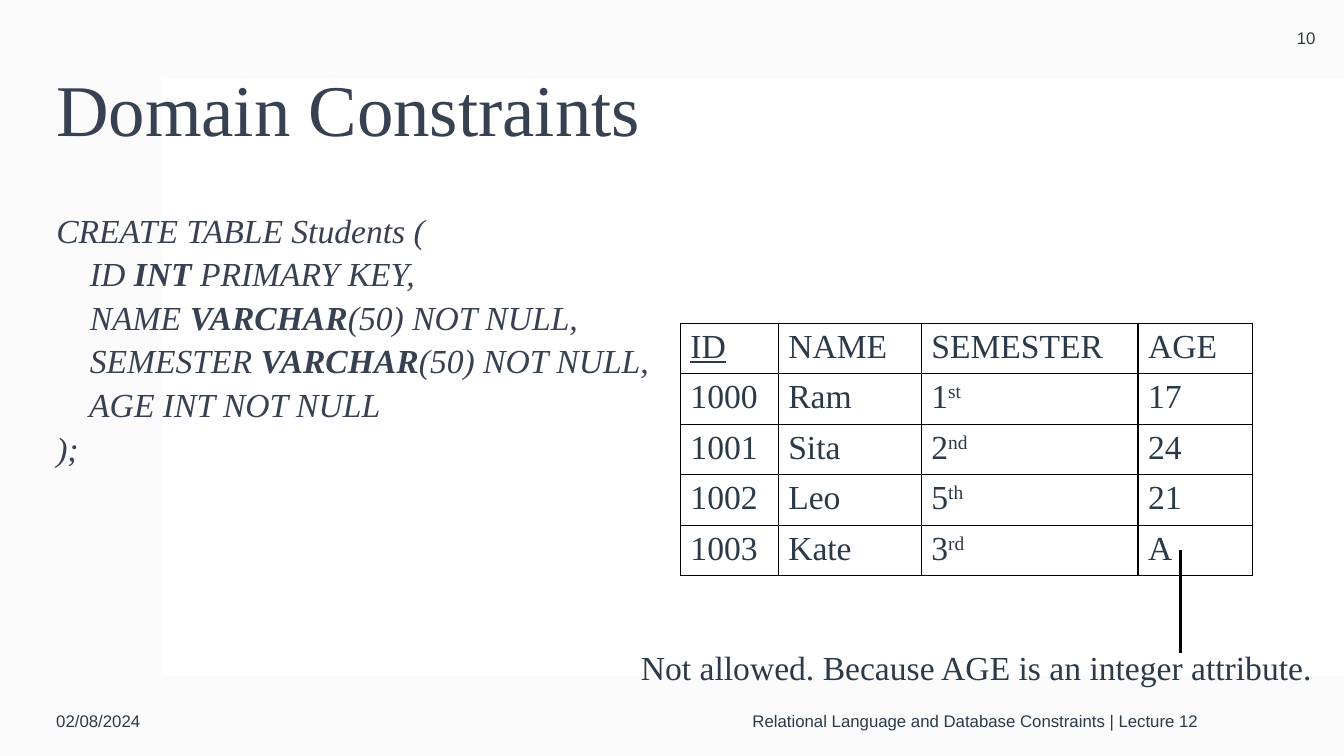
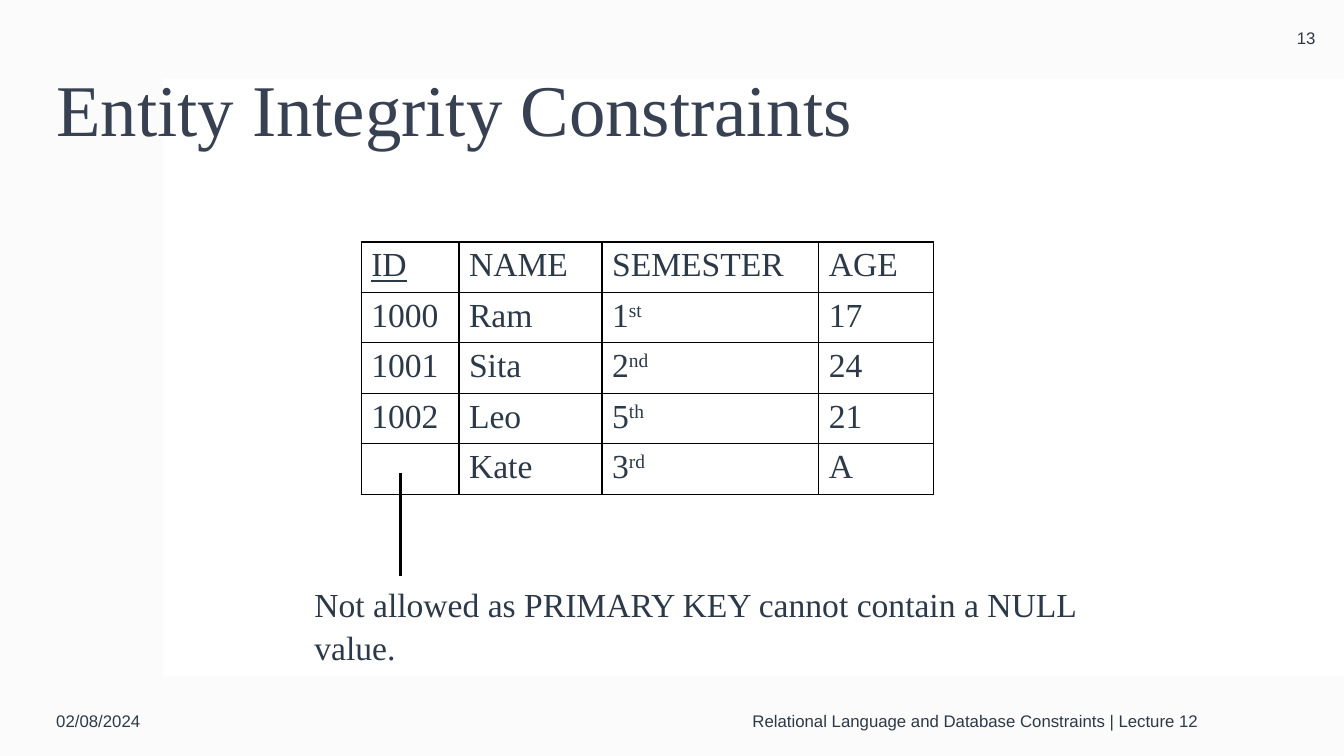
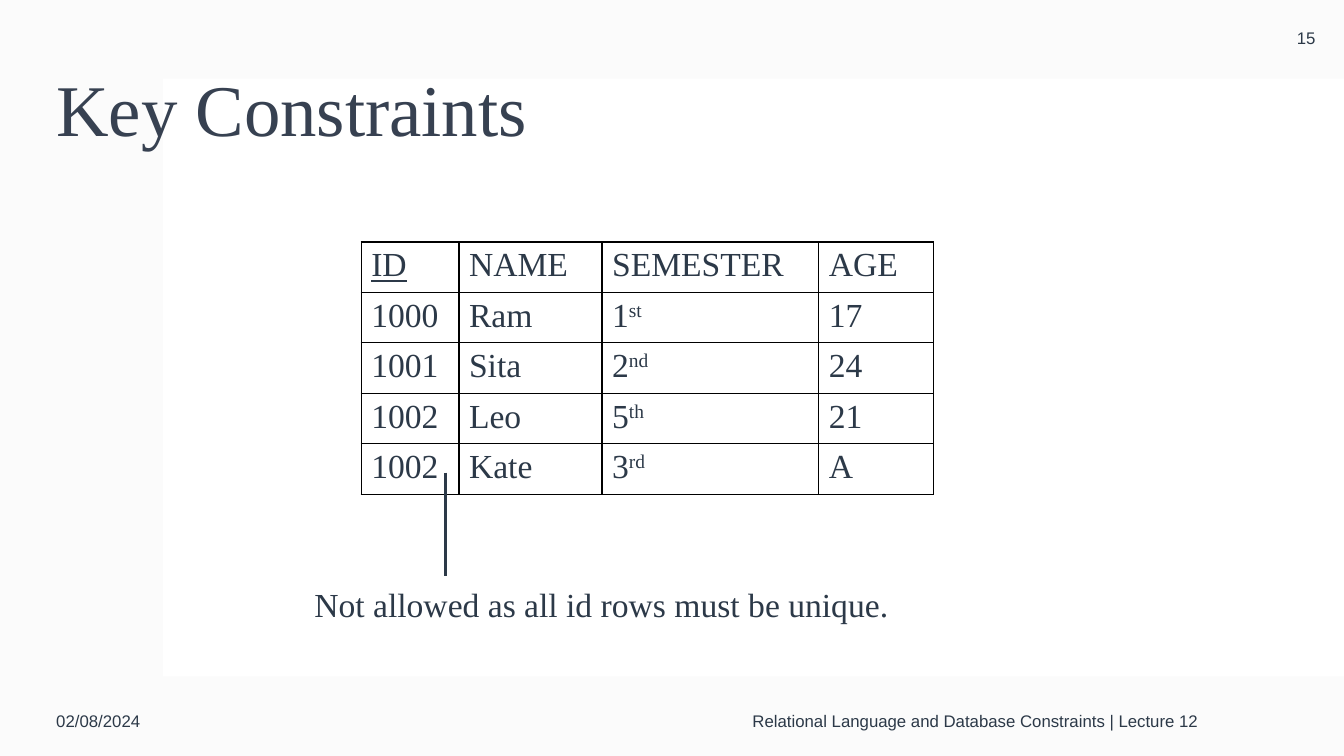
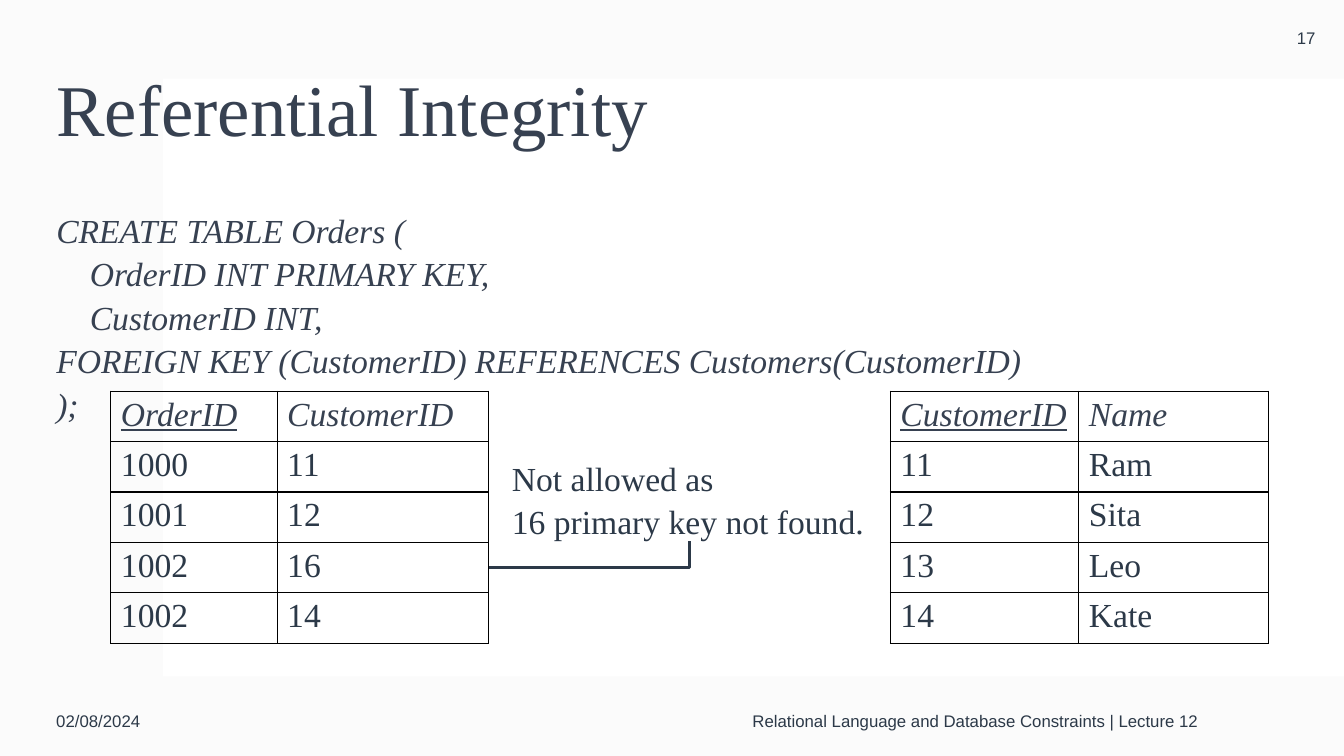
from dataclasses import dataclass

import lxml.etree
import pptx
import pptx.dml.color
import pptx.enum.shapes
import pptx.enum.text
import pptx.oxml.ns
import pptx.util

WIDTH, HEIGHT = 13.33, 7.5
COLUMNS, ROWS = 160, 90
TABLE_ROW = 5.62
SERIF, SANS = "Times New Roman", "Arial"
INK, SLATE, BLACK, WHITE, MIST = "2C3948", "374151", "000000", "FFFFFF", "F4F4F4"
DATE = "02/08/2024"
FOOTER = "Relational Language and Database Constraints | Lecture 12"
ALIGN = pptx.enum.text.PP_ALIGN
MIDDLE = pptx.enum.text.MSO_ANCHOR.MIDDLE
TOP = pptx.enum.text.MSO_ANCHOR.TOP
CONNECTOR = pptx.enum.shapes.MSO_CONNECTOR
qn = pptx.oxml.ns.qn


@dataclass(frozen=True)
class Area:
    column: float
    row: float
    columns: float
    rows: float

    def lengths(self) -> tuple:
        return across(self.column), down(self.row), across(self.columns), down(self.rows)


@dataclass(frozen=True)
class Grid:
    column: float
    row: float
    widths: tuple
    cells: tuple
    italic_header: bool = False


@dataclass(frozen=True)
class Note:
    text: str
    area: Area


@dataclass(frozen=True)
class Pointer:
    start: tuple
    end: tuple
    color: str = INK
    bent: bool = False


@dataclass(frozen=True)
class Lesson:
    number: int
    title: str
    grids: tuple
    note: Note
    pointer: Pointer
    code: str = ""


TITLE_AREA = Area(5.52, 4.8, 138.36, 17.4)
CODE_AREA = Area(5.52, 24, 138.36, 59.28)
DATE_AREA = Area(5.52, 81.6, 36, 8.4)
FOOTER_AREA = Area(49.44, 81.6, 94.44, 8.4)
NUMBER_AREA = Area(151, 0, 9, 9)
STUDENT_WIDTHS = (11.64, 17.04, 25.8, 13.68)


def students(last_id: str) -> tuple:
    return (
        ("ID", "NAME", "SEMESTER", "AGE"),
        ("1000", "Ram", "1^st", "17"),
        ("1001", "Sita", "2^nd", "24"),
        ("1002", "Leo", "5^th", "21"),
        (last_id, "Kate", "3^rd", "A"),
    )


ORDERS = (
    ("OrderID", "CustomerID"),
    ("1000", "11"),
    ("1001", "12"),
    ("1002", "16"),
    ("1002", "14"),
)
CUSTOMERS = (
    ("CustomerID", "Name"),
    ("11", "Ram"),
    ("12", "Sita"),
    ("13", "Leo"),
    ("14", "Kate"),
)
STUDENTS_CODE = """CREATE TABLE Students (
    ID *INT* PRIMARY KEY,
    NAME *VARCHAR*(50) NOT NULL,
    SEMESTER *VARCHAR*(50) NOT NULL,
    AGE INT NOT NULL
);"""
ORDERS_CODE = """CREATE TABLE Orders (
    OrderID INT PRIMARY KEY,
    CustomerID INT,
FOREIGN KEY (CustomerID) REFERENCES Customers(CustomerID)
);"""

LESSONS = (
    Lesson(
        10,
        "Domain Constraints",
        (Grid(81, 38.5, STUDENT_WIDTHS, students("1003")),),
        Note("Not allowed. Because AGE is an integer attribute.", Area(75.12, 76.08, 83.04, 6)),
        Pointer((140.5, 65.52), (140.5, 77.76), BLACK),
        STUDENTS_CODE,
    ),
    Lesson(
        13,
        "Entity Integrity Constraints",
        (Grid(43, 28.8, STUDENT_WIDTHS, students("")),),
        Note(
            "Not allowed as PRIMARY KEY cannot contain a NULL value.",
            Area(36.24, 68.52, 103.68, 6),
        ),
        Pointer((47.64, 56.28), (47.64, 68.52), BLACK),
    ),
    Lesson(
        15,
        "Key Constraints",
        (Grid(43, 28.8, STUDENT_WIDTHS, students("1002")),),
        Note("Not allowed as all id rows must be unique.", Area(36.24, 68.52, 71.4, 6)),
        Pointer((53.04, 56.28), (53.04, 68.52)),
    ),
    Lesson(
        17,
        "Referential Integrity",
        (
            Grid(13.2, 46.56, (19.8, 25.2), ORDERS, True),
            Grid(106, 46.56, (22.44, 22.56), CUSTOMERS, True),
        ),
        Note("Not allowed as\n16 primary key not found.", Area(59.76, 53.52, 44.64, 10.92)),
        Pointer((58.2, 67.56), (82.08, 64.44), bent=True),
        ORDERS_CODE,
    ),
)


def across(columns: float) -> int:
    return pptx.util.Inches(WIDTH * columns / COLUMNS)


def down(rows: float) -> int:
    return pptx.util.Inches(HEIGHT * rows / ROWS)


def rgb(color: str) -> pptx.dml.color.RGBColor:
    return pptx.dml.color.RGBColor.from_string(color)


def write(frame, text: str, *, size: float = 24, font: str = SERIF, color: str = INK,
          italic: bool = False, underline: bool = False, align=ALIGN.LEFT,
          spacing: float = 1.0, after: float = 0) -> None:
    for index, line in enumerate(text.split("\n")):
        para = frame.add_paragraph() if index else frame.paragraphs[0]
        para.alignment = align
        para.line_spacing = spacing
        para.space_after = pptx.util.Pt(after)
        plain, _, raised = line.partition("^")
        pieces = [(piece, part % 2 == 1, False) for part, piece in enumerate(plain.split("*"))]
        for piece, bold, lifted in pieces + [(raised, False, True)]:
            if not piece:
                continue
            span = para.add_run()
            span.text = piece
            span.font.size = pptx.util.Pt(size)
            span.font.name = font
            span.font.color.rgb = rgb(color)
            span.font.bold = bold
            span.font.italic = italic
            span.font.underline = underline
            if lifted:
                span.font._element.set("baseline", "30000")


def add_text(page, text: str, area: Area, *, anchor=TOP, wrap: bool = True, **style) -> None:
    frame = page.shapes.add_textbox(*area.lengths()).text_frame
    frame.word_wrap = wrap
    frame.vertical_anchor = anchor
    write(frame, text, **style)


def add_band(page, area: Area, color: str, opacity: int = 100) -> None:
    box = page.shapes.add_shape(pptx.enum.shapes.MSO_SHAPE.RECTANGLE, *area.lengths())
    box.shadow.inherit = False
    box.line.fill.background()
    box.fill.solid()
    box.fill.fore_color.rgb = rgb(color)
    if opacity < 100:
        tint = box.element.spPr.find(qn("a:solidFill"))[0]
        lxml.etree.SubElement(tint, qn("a:alpha")).set("val", str(opacity * 1000))
    page.slide_layout.shapes.element.append(box.element)


def dress_layout(layout, page) -> None:
    for holder in list(layout.placeholders):
        holder.element.getparent().remove(holder.element)
    add_band(page, Area(0, 0, COLUMNS, ROWS), MIST, 35)
    add_band(page, Area(19.4, 9.36, 140.6, 71.16), WHITE)


def add_borders(cell) -> None:
    properties = cell._tc.get_or_add_tcPr()
    for side in ("lnL", "lnR", "lnT", "lnB"):
        edge = lxml.etree.SubElement(properties, qn(f"a:{side}"), w=str(pptx.util.Pt(1)))
        paint = lxml.etree.SubElement(edge, qn("a:solidFill"))
        lxml.etree.SubElement(paint, qn("a:srgbClr"), val=BLACK)


def add_grid(page, grid: Grid) -> None:
    count = len(grid.cells)
    area = Area(grid.column, grid.row, sum(grid.widths), TABLE_ROW * count)
    table = page.shapes.add_table(count, len(grid.widths), *area.lengths()).table
    table.first_row = table.horz_banding = False
    for column, width in zip(table.columns, grid.widths):
        column.width = across(width)
    for row_index, texts in enumerate(grid.cells):
        table.rows[row_index].height = down(TABLE_ROW)
        italic = grid.italic_header and row_index == 0
        for column_index, text in enumerate(texts):
            cell = table.cell(row_index, column_index)
            add_borders(cell)
            cell.fill.background()
            write(cell.text_frame, text, color=SLATE if italic else INK, italic=italic,
                  underline=row_index == column_index == 0)


def add_pointer(page, pointer: Pointer) -> None:
    kind = CONNECTOR.ELBOW if pointer.bent else CONNECTOR.STRAIGHT
    (left, top), (right, bottom) = pointer.start, pointer.end
    line = page.shapes.add_connector(kind, across(left), down(top), across(right), down(bottom))
    line.line.color.rgb = rgb(pointer.color)
    line.line.width = pptx.util.Pt(2.25)
    properties = line.element.spPr
    if pointer.bent:
        properties.find(qn("a:prstGeom")).set("prst", "bentConnector2")
    lxml.etree.SubElement(properties, qn("a:effectLst"))


def add_lesson(page, lesson: Lesson) -> None:
    small = {"size": 12, "font": SANS, "anchor": MIDDLE}
    add_text(page, lesson.title, TITLE_AREA, size=52, color=SLATE, anchor=MIDDLE, spacing=0.9)
    if lesson.code:
        add_text(page, lesson.code, CODE_AREA, color=SLATE, italic=True, spacing=1.08)
    add_text(page, DATE, DATE_AREA, after=6, **small)
    add_text(page, FOOTER, FOOTER_AREA, align=ALIGN.RIGHT, after=6, **small)
    add_text(page, str(lesson.number), NUMBER_AREA, align=ALIGN.CENTER, **small)
    for grid in lesson.grids:
        add_grid(page, grid)
    add_text(page, lesson.note.text, lesson.note.area, wrap=False, spacing=1.08)
    add_pointer(page, lesson.pointer)


def main() -> None:
    deck = pptx.Presentation()
    deck.slide_width = pptx.util.Inches(WIDTH)
    deck.slide_height = pptx.util.Inches(HEIGHT)
    layout = deck.slide_layouts[6]
    pages = [deck.slides.add_slide(layout) for _ in LESSONS]
    dress_layout(layout, pages[0])
    for page, lesson in zip(pages, LESSONS):
        add_lesson(page, lesson)
    deck.save("out.pptx")


if __name__ == "__main__":
    main()
